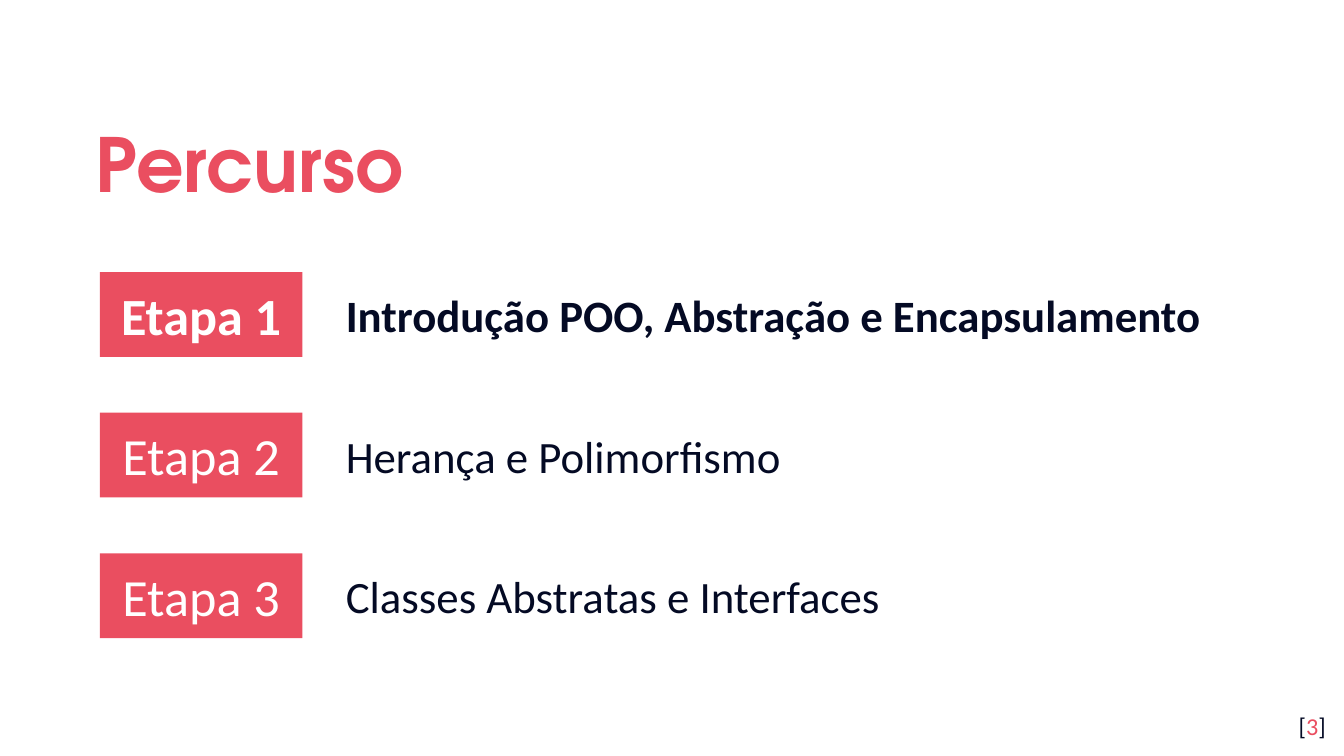
from pptx import Presentation
from pptx.dml.color import RGBColor
from pptx.enum.shapes import MSO_SHAPE
from pptx.enum.text import MSO_ANCHOR, MSO_AUTO_SIZE, PP_ALIGN
from pptx.util import Inches, Pt

RECTANGLE = MSO_SHAPE.RECTANGLE
TOP, MIDDLE = MSO_ANCHOR.TOP, MSO_ANCHOR.MIDDLE
LEFT, CENTER, RIGHT = PP_ALIGN.LEFT, PP_ALIGN.CENTER, PP_ALIGN.RIGHT
NO_AUTOFIT = MSO_AUTO_SIZE.NONE

COLORS = {"accent": "EA4E60", "ink": "040A24", "white": "FFFFFF"}
TITLE_FONT, BODY_FONT = "TeX Gyre Adventor", "Calibri"

# Grid of stages, in inches
WIDTH, HEIGHT = 13.33, 7.5
LABEL_LEFT, LABEL_WIDTH, LABEL_HEIGHT = 0.99, 2.01, 0.84
TOPIC_LEFT, TOPIC_WIDTH, TOPIC_HEIGHT = 3.3, 9.2, 0.67
FIRST_ROW, ROW_STEP = 2.7, 1.395
INSET, HANGING = 0.13, 0.67

TOPICS = [
    "Introdução POO, Abstração e Encapsulamento",
    "Herança e Polimorfismo",
    "Classes Abstratas e Interfaces",
]
CURRENT_STAGE = 1


def color(name):
    return RGBColor.from_string(COLORS[name])


def format_span(span, size, color_name, font=BODY_FONT, bold=False):
    span.font.name = font
    span.font.size = Pt(size)
    span.font.bold = bold
    span.font.color.rgb = color(color_name)


def prepare_frame(box, align, anchor, inset_y=INSET):
    """Set margins and alignment; return the first paragraph."""
    frame = box.text_frame
    frame.word_wrap = True
    frame.auto_size = NO_AUTOFIT
    frame.vertical_anchor = anchor
    frame.margin_left = frame.margin_right = Inches(INSET)
    frame.margin_top = frame.margin_bottom = Inches(inset_y)
    para = frame.paragraphs[0]
    para.alignment = align
    return para


def add_title(page, text):
    title = page.shapes.title
    title.left, title.top = Inches(0.82), Inches(0.93)
    title.width, title.height = Inches(10.81), Inches(1.23)
    para = prepare_frame(title, LEFT, MIDDLE)
    para.text = text
    para.line_spacing = 1.15
    format_span(para.runs[0], 53.3, "accent", TITLE_FONT, bold=True)


def add_label(page, top, text, bold):
    label = page.shapes.add_shape(
        RECTANGLE, Inches(LABEL_LEFT), Inches(top),
        Inches(LABEL_WIDTH), Inches(LABEL_HEIGHT))
    label.shadow.inherit = False
    label.fill.solid()
    label.fill.fore_color.rgb = color("accent")
    label.line.fill.background()
    para = prepare_frame(label, CENTER, MIDDLE)
    para.text = text
    format_span(para.runs[0], 37.3, "white", bold=bold)


def add_topic(page, top, text, bold):
    box = page.shapes.add_textbox(
        Inches(TOPIC_LEFT), Inches(top),
        Inches(TOPIC_WIDTH), Inches(TOPIC_HEIGHT))
    para = prepare_frame(box, LEFT, TOP, inset_y=0.07)
    para.text = text
    # Hanging indent
    properties = para._p.get_or_add_pPr()
    properties.set("marL", str(Inches(HANGING)))
    properties.set("indent", str(-Inches(HANGING)))
    format_span(para.runs[0], 32, "ink", bold=bold)


def add_page_number(page, number):
    box = page.shapes.add_textbox(
        Inches(12.48), Inches(6.93), Inches(0.8), Inches(0.57))
    para = prepare_frame(box, RIGHT, TOP)
    for text, color_name in (("[", "ink"), (str(number), "accent"), ("]", "ink")):
        span = para.add_run()
        span.text = text
        format_span(span, 17.3, color_name)


def main():
    deck = Presentation()
    deck.slide_width, deck.slide_height = Inches(WIDTH), Inches(HEIGHT)
    page = deck.slides.add_slide(deck.slide_layouts[5])
    page.background.fill.solid()
    page.background.fill.fore_color.rgb = color("white")

    add_title(page, "Percurso")

    # One row per stage, with the current one in bold
    for stage, topic in enumerate(TOPICS, start=1):
        top = FIRST_ROW + (stage - 1) * ROW_STEP
        bold = stage == CURRENT_STAGE
        add_label(page, top, f"Etapa {stage}", bold)
        add_topic(page, top + (LABEL_HEIGHT - TOPIC_HEIGHT) / 2, topic, bold)

    add_page_number(page, 3)
    deck.save("out.pptx")


main()
